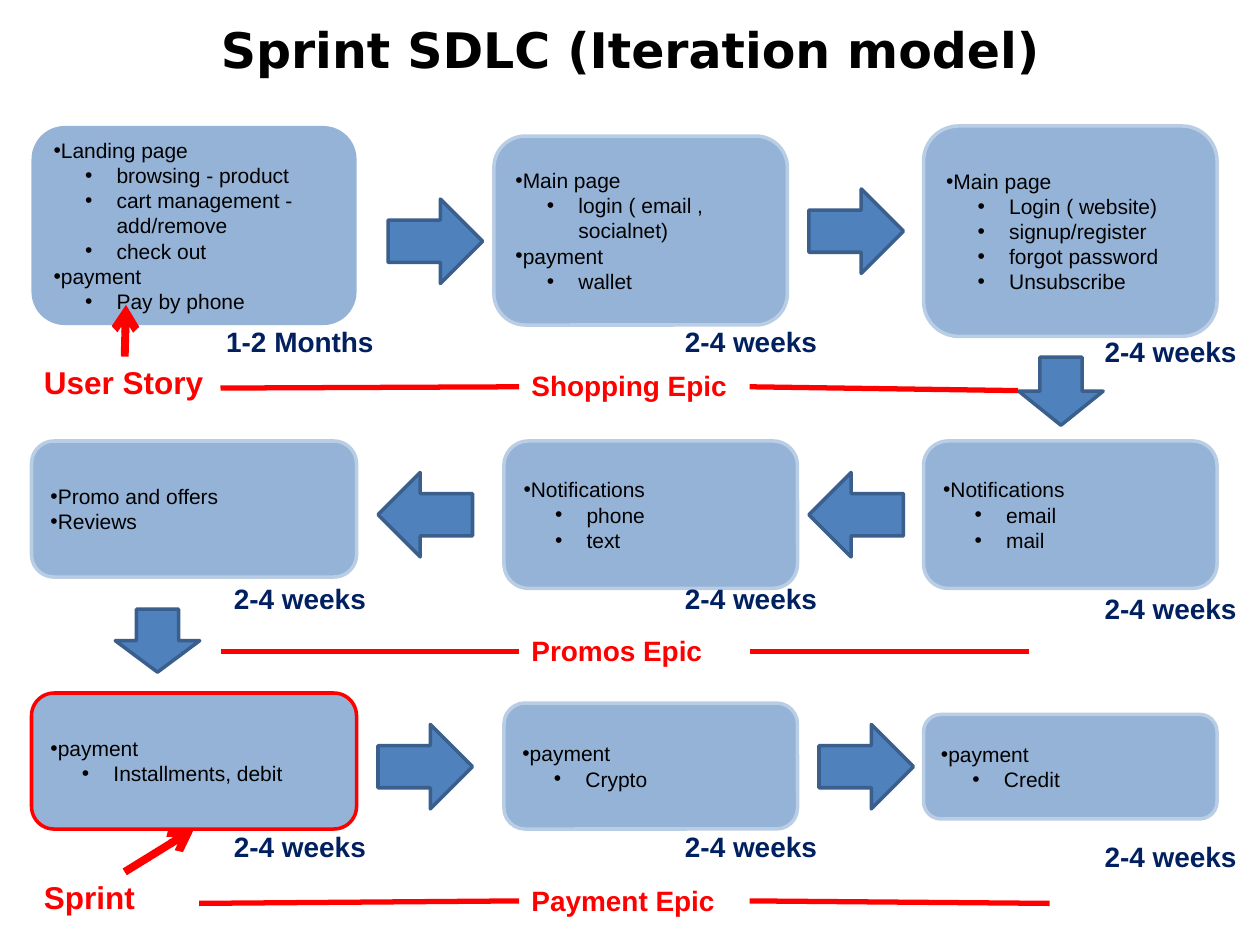
import pptx
import pptx.util
import pptx.dml.color
import pptx.enum.shapes
import pptx.enum.text
import pptx.oxml
import pptx.oxml.ns
import lxml.etree

Inches = pptx.util.Inches
Pt = pptx.util.Pt
RGBColor = pptx.dml.color.RGBColor
Shape = pptx.enum.shapes.MSO_SHAPE
Align = pptx.enum.text.PP_ALIGN
Anchor = pptx.enum.text.MSO_ANCHOR
qn = pptx.oxml.ns.qn

BLACK = RGBColor(0, 0, 0)
RED = RGBColor(0xFF, 0, 0)
NAVY = RGBColor(0, 0x20, 0x60)
BLUE = RGBColor(0x4F, 0x81, 0xBD)
STEEL = RGBColor(0x3A, 0x5F, 0x8C)
SKY = RGBColor(0x95, 0xB3, 0xD7)
PALE = RGBColor(0xB9, 0xCD, 0xE5)

TITLE = "Sprint SDLC (Iteration model)"
BOXES = [
    ((0.25, 1, 2.58, 1.58), None, [
        (0, "Landing page"), (1, "browsing - product"),
        (1, "cart management - add/remove"), (1, "check out"),
        (0, "payment"), (1, "Pay by phone")]),
    ((3.92, 1.08, 2.33, 1.5), PALE, [
        (0, "Main page"), (1, "login ( email , socialnet)"),
        (0, "payment"), (1, "wallet")]),
    ((7.33, 1, 2.33, 1.67), PALE, [
        (0, "Main page"), (1, "Login ( website)"), (1, "signup/register"),
        (1, "forgot password"), (1, "Unsubscribe")]),
    ((0.25, 3.5, 2.58, 1.08), PALE, [(0, "Promo and offers"), (0, "Reviews")]),
    ((4, 3.5, 2.33, 1.17), PALE, [(0, "Notifications"), (1, "phone"), (1, "text")]),
    ((7.33, 3.5, 2.33, 1.17), PALE, [(0, "Notifications"), (1, "email"), (1, "mail")]),
    ((0.25, 5.5, 2.58, 1.08), RED, [(0, "payment"), (1, "Installments, debit")]),
    ((4, 5.58, 2.33, 1), PALE, [(0, "payment"), (1, "Crypto")]),
    ((7.33, 5.67, 2.33, 0.83), PALE, [(0, "payment"), (1, "Credit")]),
]
RIGHT, DOWN, LEFT = 0, 90, 180
ARROWS = [
    (3.08, 1.58, 0.75, RIGHT), (6.42, 1.5, 0.75, RIGHT),
    (3, 5.75, 0.75, RIGHT), (6.5, 5.75, 0.75, RIGHT),
    (3, 3.75, 0.75, LEFT), (6.42, 3.75, 0.75, LEFT),
    (8.15, 2.77, 0.54, DOWN), (1, 4.75, 0.5, DOWN),
]
TIME_COLS = [(1.67, 0), (5.25, 0), (8.58, 0.08)]
TIME_ROWS = [
    (2.42, ["1-2 Months", "2-4 weeks", "2-4 weeks"]),
    (4.46, ["2-4 weeks"] * 3),
    (6.43, ["2-4 weeks"] * 3),
]
EPICS = [
    ("Shopping Epic", 2.88, (1.75, 3.08), 3.07, (8.08, 3.1)),
    ("Promos Epic", 4.98, (1.75, 5.17), 5.17, (8.17, 5.17)),
    ("Payment Epic", 6.96, (1.58, 7.17), 7.15, (8.33, 7.17)),
]
EPIC_LEFT, EPIC_WIDE = 4.12, 1.83
NOTES = [
    ("User Story", 2.83, (1, 2.42)),
    ("Sprint", 6.92, (1.54, 6.58)),
]

deck = pptx.Presentation()
deck.slide_width, deck.slide_height = Inches(10), Inches(7.5)
slide = deck.slides.add_slide(deck.slide_layouts[5])
shapes = slide.shapes


def style(par, size, color, bold=False, face="Arial"):
    for run in par.runs:
        run.font.size = Pt(size)
        run.font.name = face
        run.font.bold = bold
        run.font.color.rgb = color


def paint(shape, fill, edge):
    shape.shadow.inherit = False
    shape.fill.solid()
    shape.fill.fore_color.rgb = fill
    if edge is None:
        shape.line.fill.background()
    else:
        shape.line.color.rgb = edge
        shape.line.width = Pt(2)


def bullet(par, level):
    par.level = level
    props = par._p.get_or_add_pPr()
    props.set("marL", str(Inches(0.5 * level)))
    props.set("indent", str(Inches(-0.25 * level)))
    lxml.etree.SubElement(props, qn("a:buFont")).set("typeface", "Arial")
    lxml.etree.SubElement(props, qn("a:buChar")).set("char", "\u2022")


def label(text, spot, size, color, wrap=True):
    box = shapes.add_textbox(*map(Inches, spot))
    frame = box.text_frame
    frame.word_wrap = wrap
    frame.text = text
    style(frame.paragraphs[0], size, color, True)
    return frame


def stroke(start, end, width, head=False):
    line = shapes.add_connector(
        pptx.enum.shapes.MSO_CONNECTOR.STRAIGHT, *map(Inches, start + end))
    line.line.color.rgb = RED
    line.line.width = Pt(width)
    if head:
        edge = line.line._get_or_add_ln()
        lxml.etree.SubElement(edge, qn("a:tailEnd")).set("type", "arrow")
    lxml.etree.SubElement(line._element.spPr, qn("a:effectLst"))


title = shapes.title
title.left, title.top, title.width, title.height = map(Inches, (0.5, 0, 9, 0.78))
title.text_frame.text = TITLE
title.text_frame.vertical_anchor = Anchor.MIDDLE
title.text_frame.paragraphs[0].alignment = Align.CENTER
style(title.text_frame.paragraphs[0], 28, BLACK, True, "DejaVu Sans")

for spot, edge, items in BOXES:
    card = shapes.add_shape(Shape.ROUNDED_RECTANGLE, *map(Inches, spot))
    paint(card, SKY, edge)
    frame = card.text_frame
    frame.word_wrap = True
    frame.vertical_anchor = Anchor.MIDDLE
    frame.text = "\n".join(text for level, text in items)
    for par, (level, text) in zip(frame.paragraphs, items):
        par.alignment = Align.LEFT
        bullet(par, level)
        style(par, 12, BLACK)

for left, top, length, turn in ARROWS:
    arrow = shapes.add_shape(
        Shape.RIGHT_ARROW, *map(Inches, (left, top, length, 0.67)))
    arrow.rotation = turn
    paint(arrow, BLUE, STEEL)

for top, times in TIME_ROWS:
    for (left, drop), text in zip(TIME_COLS, times):
        frame = label(text, (left, top + drop, 1.42, 0.58), 16, NAVY)
        frame.vertical_anchor = Anchor.MIDDLE
        frame.paragraphs[0].alignment = Align.CENTER

for text, top, tip in NOTES:
    label(text, (0.25, top, 1.48, 0.4), 18, RED, wrap=text == "Sprint")
    stroke((0.99, top), tip, 4.5, head=True)

for text, top, start, mid, end in EPICS:
    stroke(start, (EPIC_LEFT, mid), 3)
    stroke((EPIC_LEFT + EPIC_WIDE, mid), end, 3)
    label(text, (EPIC_LEFT, top, EPIC_WIDE, 0.37), 16, RED)

deck.save("out.pptx")
